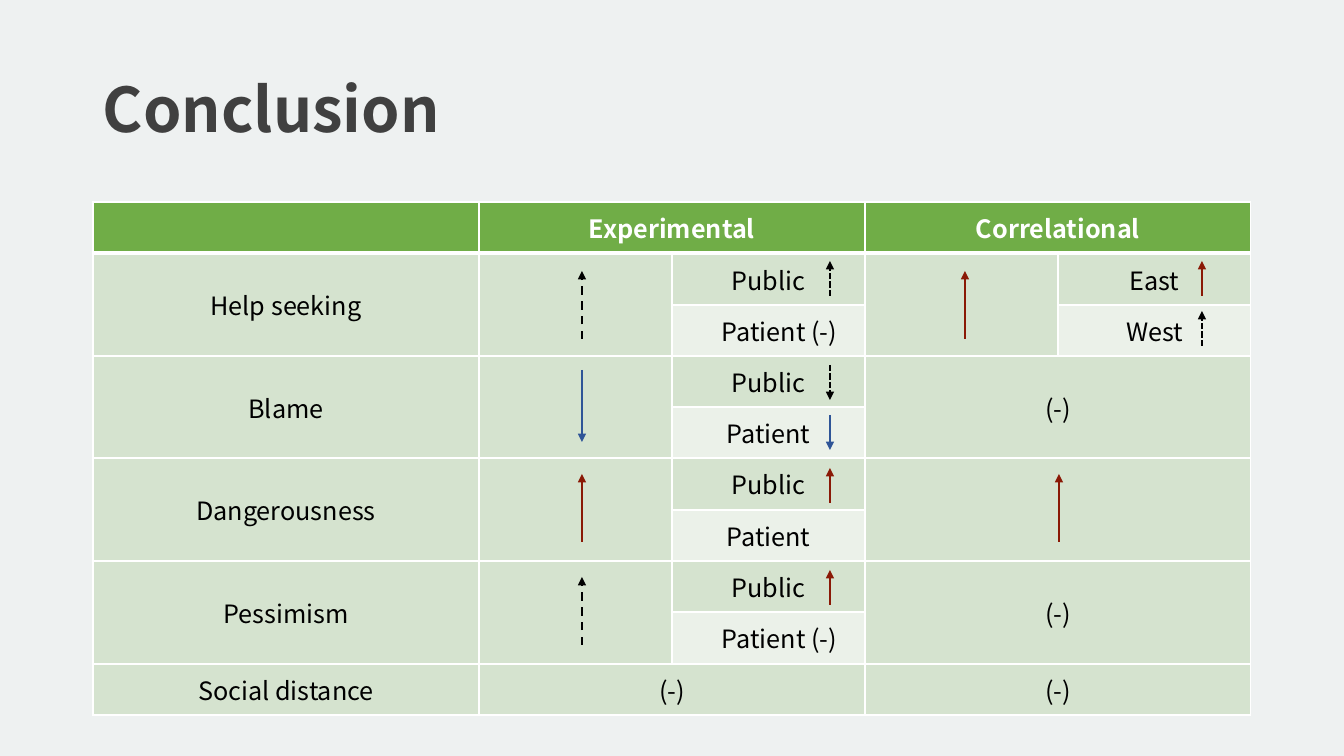
import pptx
import pptx.util
import pptx.oxml
import pptx.dml.color
import pptx.enum.dml
import pptx.enum.shapes
import pptx.enum.text
from pptx.oxml.ns import qn

RGB = pptx.dml.color.RGBColor
DASH = pptx.enum.dml.MSO_LINE
ALIGN = pptx.enum.text.PP_ALIGN
MIDDLE = pptx.enum.text.MSO_ANCHOR.MIDDLE

WIDTH, HEIGHT = 1344, 756
SCALE = 12192000 / WIDTH
FONT = "Noto Sans CJK KR"

PAPER = RGB(0xEE, 0xF1, 0xF1)
GREY = RGB(0x40, 0x40, 0x40)
WHITE = RGB(0xFF, 0xFF, 0xFF)
BLACK = RGB(0, 0, 0)
GREEN = RGB(0x70, 0xAD, 0x47)
SAGE = RGB(0xD5, 0xE3, 0xCF)
PALE = RGB(0xEB, 0xF1, 0xE9)
RED = RGB(0x8A, 0x19, 0x06)
BLUE = RGB(0x2F, 0x55, 0x97)

LEFT, TOP, DEPTH = 93, 202, 513
COLS = [386, 193, 193, 193, 193]
PAIRS = range(1, 9, 2)  # first row of each two-row topic
MINUS = "Patient (-)"
GRID = [
    ["", "Experimental", "", "Correlational", ""],
    ["Help seeking", "", "Public", "", "East"],
    ["", "", MINUS, "", "West"],
    ["Blame", "", "Public", "(-)", ""],
    ["", "", "Patient", "", ""],
    ["Dangerousness", "", "Public", "", ""],
    ["", "", "Patient", "", ""],
    ["Pessimism", "", "Public", "(-)", ""],
    ["", "", MINUS, "", ""],
    ["Social distance", "(-)", "", "(-)", ""],
]

# x, tail y, head y, colour, dash
ARROWS = [
    (582, 339, 271, BLACK, DASH.DASH),
    (582, 370, 442, BLUE, None),
    (582, 542, 474, RED, None),
    (582, 645, 577, BLACK, DASH.DASH),
    (830, 296, 261, BLACK, DASH.SQUARE_DOT),
    (830, 365, 400, BLACK, DASH.SQUARE_DOT),
    (830, 415, 450, BLUE, None),
    (830, 503, 468, RED, None),
    (830, 605, 570, RED, None),
    (965, 339, 271, RED, None),
    (1059, 542, 474, RED, None),
    (1202, 296, 261, RED, None),
    (1202, 346, 311, BLACK, DASH.SQUARE_DOT),
]


def px(n):
    return pptx.util.Emu(round(n * SCALE))


def write(frame, text, size=18, color=BLACK, bold=False,
          align=ALIGN.CENTER, space=None):
    para = frame.paragraphs[0]
    para.alignment = align
    para.line_spacing = space
    run = para.add_run()
    run.text = text
    font = run.font
    font.name, font.size, font.bold = FONT, pptx.util.Pt(size), bold
    font.color.rgb = color


def add_title(slide, text):
    box = slide.shapes.add_textbox(px(LEFT), px(40), px(sum(COLS)), px(146))
    frame = box.text_frame
    frame.word_wrap = True
    frame.vertical_anchor = MIDDLE
    write(frame, text, size=44, color=GREY, bold=True,
          align=ALIGN.LEFT, space=0.9)


def set_edge(cell, side, width):
    props = cell._tc.get_or_add_tcPr()
    line = pptx.oxml.parse_xml(
        f'<a:ln{side} xmlns:a="http://schemas.openxmlformats.org/drawingml/'
        f'2006/main" w="{pptx.util.Pt(width)}"><a:solidFill>'
        f'<a:srgbClr val="{WHITE}"/></a:solidFill></a:ln{side}>')
    props.append(line)


def style_cell(cell, row, col):
    for side in "LRTB":
        thick = (row, side) in ((0, "B"), (1, "T"))
        set_edge(cell, side, 3 if thick else 1)
    split = col == 2 or (col == 4 and row == 2)
    lower = row in (2, 4, 6, 8) and split
    cell.fill.solid()
    cell.fill.fore_color.rgb = GREEN if row == 0 else PALE if lower else SAGE
    cell.vertical_anchor = MIDDLE


def merge_cells(table):
    def join(row, col, last, end):
        table.cell(row, col).merge(table.cell(last, end))

    for row in (0, len(GRID) - 1):
        join(row, 1, row, 2)
        join(row, 3, row, 4)
    for row in PAIRS:
        join(row, 0, row + 1, 0)
        join(row, 1, row + 1, 1)
        join(row, 3, row + 1, 3 if row == 1 else 4)


def add_grid(slide):
    count = len(GRID)
    table = slide.shapes.add_table(
        count, len(COLS), px(LEFT), px(TOP), px(sum(COLS)), px(DEPTH)).table
    table.horz_banding = False
    for col, width in zip(table.columns, COLS):
        col.width = px(width)
    edges = [round(DEPTH * i / count) for i in range(count + 1)]
    for i, row in enumerate(table.rows):
        row.height = px(edges[i + 1] - edges[i])
    merge_cells(table)
    for r, texts in enumerate(GRID):
        for c, text in enumerate(texts):
            cell = table.cell(r, c)
            style_cell(cell, r, c)
            if text == MINUS:
                cell.margin_left = px(32)
            if text:
                write(cell.text_frame, text, bold=r == 0,
                      color=WHITE if r == 0 else BLACK)


def add_arrow(slide, x, start, end, color, dash):
    arrow = slide.shapes.add_connector(
        pptx.enum.shapes.MSO_CONNECTOR.STRAIGHT,
        px(x), px(start), px(x), px(end))
    line = arrow.line
    line.color.rgb = color
    line.width = pptx.util.Pt(1.5)
    if dash:
        line.dash_style = dash
    head = line._get_or_add_ln().makeelement(
        qn("a:tailEnd"), {"type": "triangle"})
    line._get_or_add_ln().append(head)
    props = arrow._element.spPr
    props.append(props.makeelement(qn("a:effectLst"), {}))


def main():
    deck = pptx.Presentation()
    deck.slide_width, deck.slide_height = px(WIDTH), px(HEIGHT)
    slide = deck.slides.add_slide(deck.slide_layouts[6])
    slide.background.fill.solid()
    slide.background.fill.fore_color.rgb = PAPER
    add_title(slide, "Conclusion")
    add_grid(slide)
    for arrow in ARROWS:
        add_arrow(slide, *arrow)
    deck.save("out.pptx")


if __name__ == "__main__":
    main()
